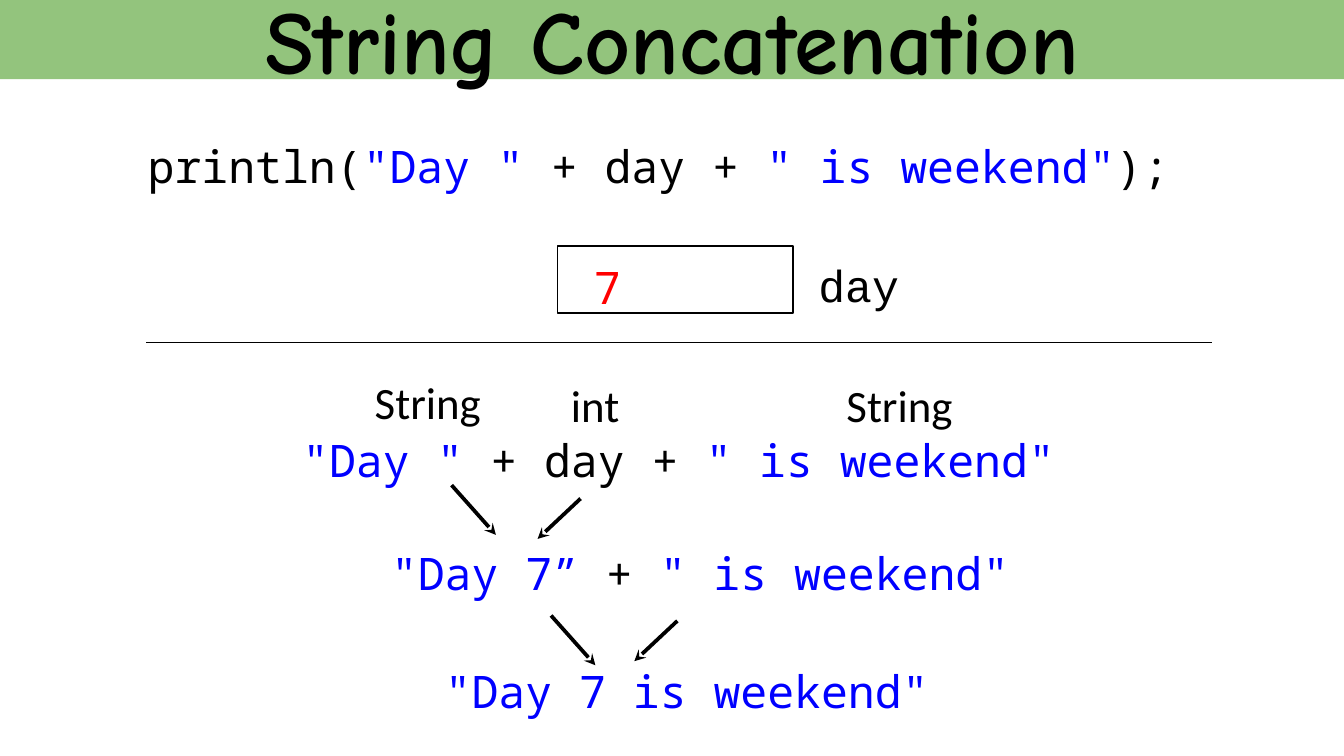
from lxml import etree
from pptx import Presentation, util as u
from pptx.dml.color import RGBColor
from pptx.enum import shapes, text
from pptx.oxml.ns import qn

BLACK = RGBColor(0, 0, 0)
WHITE = RGBColor(255, 255, 255)
BLUE = RGBColor(0, 0, 255)
RED = RGBColor(255, 0, 0)
GREEN = RGBColor(0x93, 0xC4, 0x7D)

CODE = "Noto Sans Mono"
LABEL = "Calibri"
CELL = u.Inches(0.1)  # width of a grid column and height of a row
COLUMNS, ROWS = 100, 56.25
TEXT_ROWS = 3.8

DAY = ('"Day " ', BLUE)
PLUS_DAY = ("+ day + ", BLACK)
WEEKEND = ('" is weekend"', BLUE)


def grid(cells):
    return u.Emu(round(cells * CELL))


def write(shape, *runs, font=CODE, size=24, bold=False,
          align=text.PP_ALIGN.LEFT, anchor=text.MSO_ANCHOR.TOP):
    """Fill a shape with one paragraph of (text, colour) runs."""
    frame = shape.text_frame
    frame.word_wrap = True
    frame.auto_size = text.MSO_AUTO_SIZE.NONE
    frame.vertical_anchor = anchor
    paragraph = frame.paragraphs[0]
    paragraph.alignment = align
    for words, color in runs:
        run = paragraph.add_run()
        run.text = words
        run.font.name = font
        run.font.size = u.Pt(size)
        run.font.bold = bold
        run.font.color.rgb = color


class Board:
    """The current slide and its style, measured in grid columns and rows."""

    def __init__(self, presentation):
        self.slide = presentation.slides.add_slide(presentation.slide_layouts[5])
        self.shapes = self.slide.shapes

    def title(self, words):
        band = self.shapes.title
        band.left, band.top = 0, grid(-0.2)
        band.width, band.height = grid(COLUMNS), grid(6.1)
        band.fill.solid()
        band.fill.fore_color.rgb = GREEN
        write(band, (words, BLACK), font="Comic Neue", size=48, bold=True,
              align=text.PP_ALIGN.CENTER, anchor=text.MSO_ANCHOR.MIDDLE)

    def text(self, column, row, columns, *runs, **style):
        box = self.shapes.add_textbox(
            grid(column), grid(row), grid(columns), grid(TEXT_ROWS))
        write(box, *runs, **style)

    def variable(self, column, row, columns, rows):
        box = self.shapes.add_shape(
            shapes.MSO_SHAPE.RECTANGLE,
            grid(column), grid(row), grid(columns), grid(rows))
        box.shadow.inherit = False
        box.fill.solid()
        box.fill.fore_color.rgb = WHITE
        box.line.color.rgb = BLACK
        box.line.width = u.Pt(0.75)

    def line(self, start, end, width=0.75, arrow=False):
        line = self.shapes.add_connector(
            shapes.MSO_CONNECTOR.STRAIGHT, *map(grid, start + end))
        line.line.color.rgb = BLACK
        line.line.width = u.Pt(width)
        properties = line._element.spPr
        if arrow:
            outline = properties.find(qn("a:ln"))
            etree.SubElement(outline, qn("a:tailEnd"), type="stealth")
        etree.SubElement(properties, qn("a:effectLst"))

    def merge_arrows(self, column, row, right_column, right_row):
        """Draw two arrows that bring the operands above into one value."""
        self.line((column, row), (column + 3.3, row + 3.7), 2, arrow=True)
        self.line((right_column, right_row),
                  (right_column - 3.2, right_row + 3), 2, arrow=True)


def main():
    presentation = Presentation()
    presentation.slide_width = grid(COLUMNS)
    presentation.slide_height = grid(ROWS)

    board = Board(presentation)
    board.title("String Concatenation")

    board.text(10, 9.8, 86.8, ("println(", BLACK), DAY, PLUS_DAY, WEEKEND,
               (");", BLACK))
    board.variable(41.5, 18.3, 17.5, 5)
    board.text(59.9, 18.7, 12.1, ("day", BLACK), font="Courier New")
    board.text(43.2, 18.8, 6.1, ("7", RED))
    board.line((10.9, 25.5), (90.2, 25.5))

    for column, row, columns, kind in (
            (26.9, 27.4, 10, "String"),
            (41.5, 27.6, 5.7, "int"),
            (62, 27.6, 10, "String")):
        board.text(column, row, columns, (kind, BLACK), font=LABEL)

    board.text(21.5, 31.7, 66.3, DAY, PLUS_DAY, WEEKEND)
    board.merge_arrows(33.6, 36.1, 43.2, 37.1)
    board.text(28.1, 40.1, 56.2, ('"Day 7” ', BLUE), ("+ ", BLACK), WEEKEND)
    board.merge_arrows(41, 45.8, 50.4, 46.2)
    board.text(32.1, 48.9, 45.9, ('"Day 7 is weekend"', BLUE))

    presentation.save("out.pptx")


if __name__ == "__main__":
    main()
